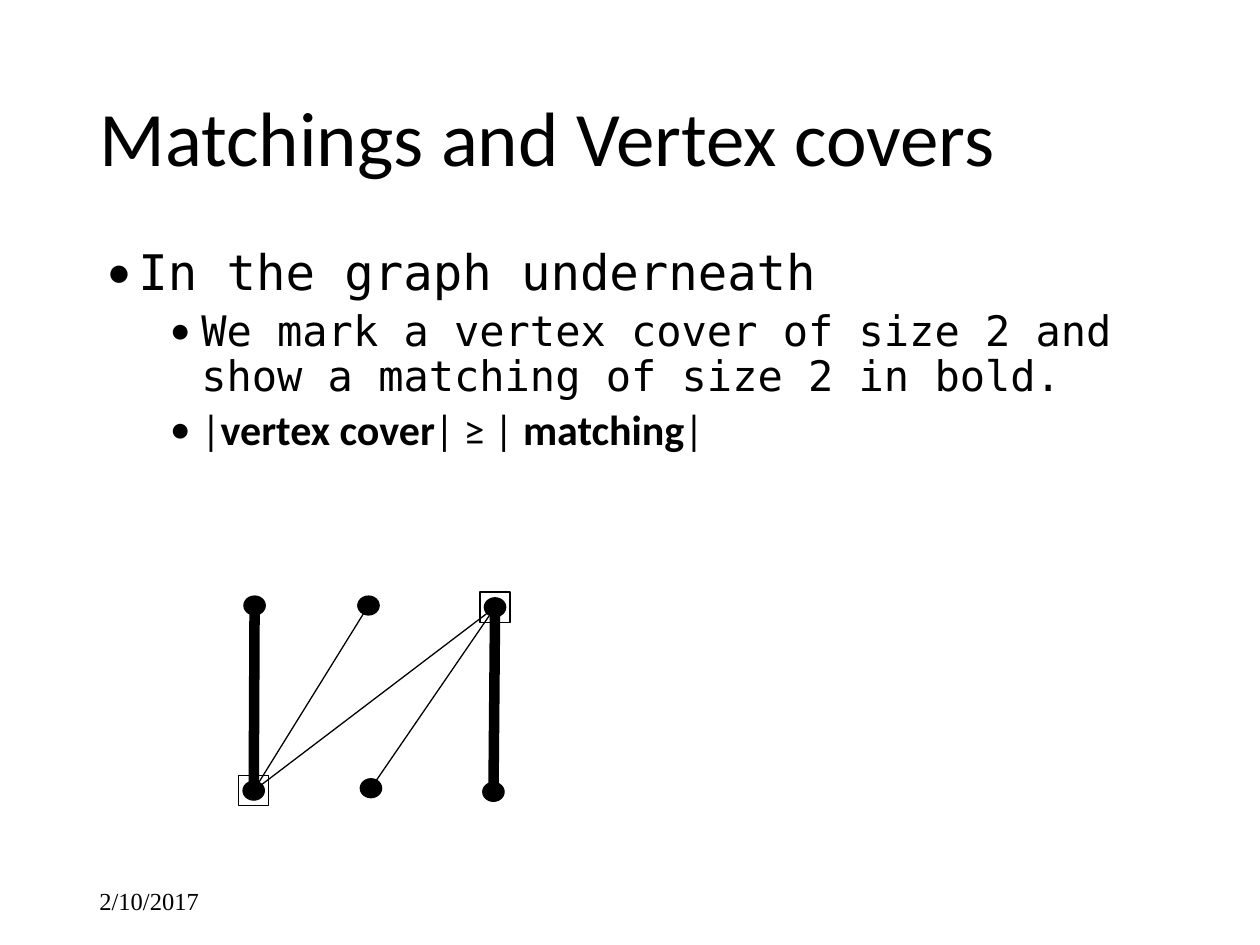
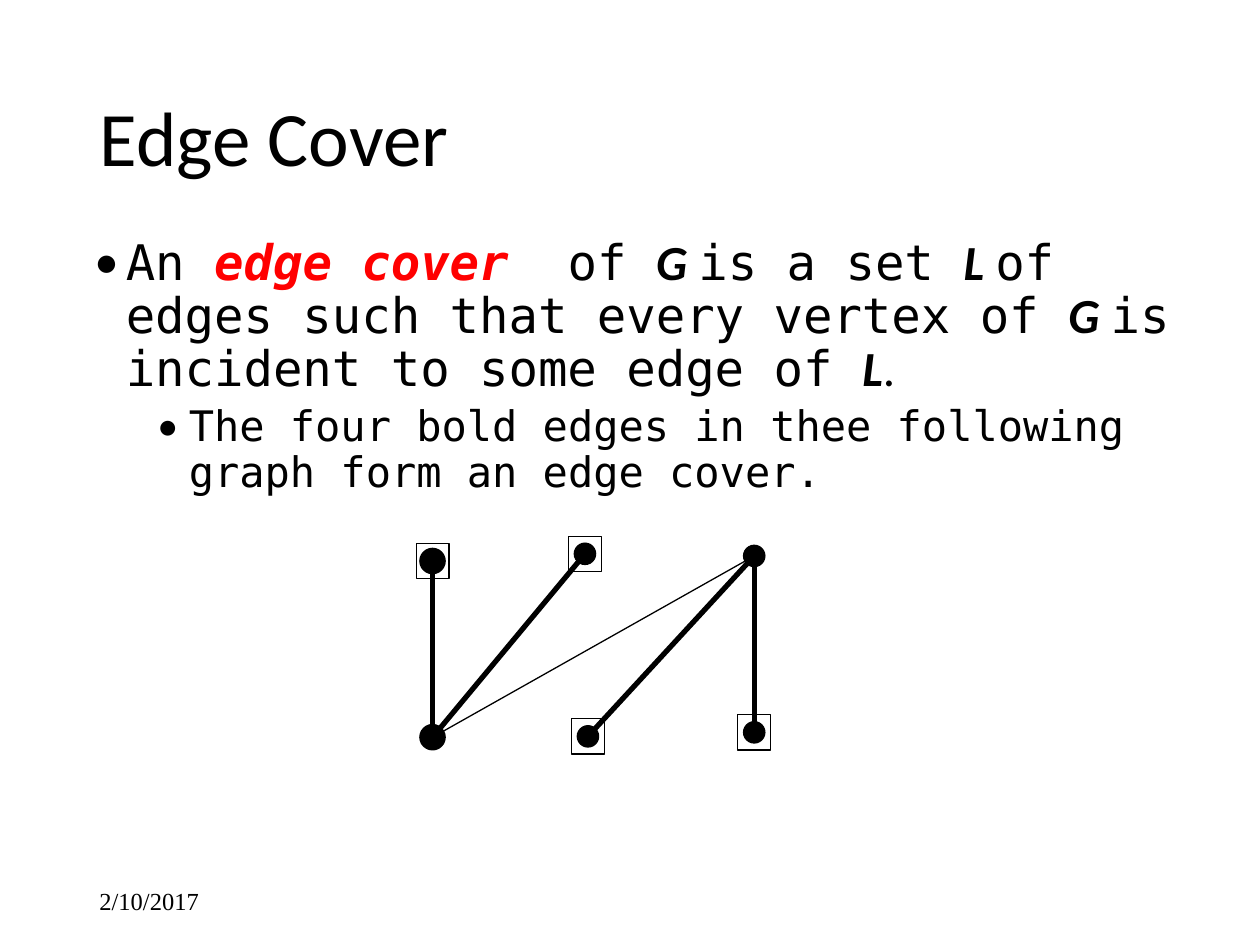
from pptx import Presentation
from pptx.dml.color import RGBColor
from pptx.enum.shapes import MSO_CONNECTOR, MSO_SHAPE
from pptx.enum.text import MSO_ANCHOR, MSO_AUTO_SIZE, PP_ALIGN
from pptx.oxml.ns import qn
from pptx.util import Pt
from lxml.etree import SubElement

BLACK = RGBColor(0, 0, 0)
RED = RGBColor(255, 0, 0)
SANS = "Calibri"
MONO = "DejaVu Sans Mono"
SERIF = "Times New Roman"
PLAIN = {"name": MONO}
TERM = {"name": MONO, "bold": True, "italic": True, "color": RED}
VAR = {"name": SANS, "bold": True, "italic": True}
THIN = {"name": SANS}
BOLD = {"name": SANS, "bold": True}
LEVELS = [
    {"size": 28, "left": 18, "before": 10},
    {"size": 24, "left": 54, "before": 5},
]


def set_all(item, values):
    for key, value in values.items():
        setattr(item, key, value)


def add_run(para, text, size, style):
    run = para.add_run()
    run.text = text
    look = dict(style)
    run.font.color.rgb = look.pop("color", BLACK)
    set_all(run.font, {"size": Pt(size), **look})


def place(shape, left, top, width, height):
    set_all(shape, {"left": Pt(left), "top": Pt(top),
                    "width": Pt(width), "height": Pt(height)})


def add_title(slide, text):
    title = slide.shapes.title
    place(title, 49.7, 28.8, 620.6, 104.4)
    frame = title.text_frame
    set_all(frame, {"vertical_anchor": MSO_ANCHOR.MIDDLE,
                    "auto_size": MSO_AUTO_SIZE.NONE, "word_wrap": True})
    para = frame.paragraphs[0]
    set_all(para, {"alignment": PP_ALIGN.LEFT, "line_spacing": 0.9})
    add_run(para, text, 44, THIN)


def add_box(slide, box, anchor):
    frame = slide.shapes.add_textbox(*map(Pt, box)).text_frame
    set_all(frame, {"word_wrap": True, "vertical_anchor": anchor})
    return frame


def add_date(slide):
    frame = add_box(slide, (49.7, 500.4, 162, 28.8), MSO_ANCHOR.MIDDLE)
    add_run(frame.paragraphs[0], "2/10/2017", 14, {"name": SERIF})


def add_bullet(para, left):
    props = para._p.get_or_add_pPr()
    props.set("marL", str(Pt(left)))
    props.set("indent", str(-Pt(18)))
    SubElement(props, qn("a:buFont")).set("typeface", SANS)
    SubElement(props, qn("a:buChar")).set("char", "•")


def add_body(slide, box, items):
    frame = add_box(slide, box, MSO_ANCHOR.TOP)
    for index, (level, runs) in enumerate(items):
        para = frame.add_paragraph() if index else frame.paragraphs[0]
        rule = LEVELS[level]
        set_all(para, {"level": level, "line_spacing": 0.9,
                       "space_before": Pt(rule["before"])})
        add_bullet(para, rule["left"])
        for text, style in runs:
            add_run(para, text, rule["size"], style)


def add_mark(slide, kind, mid, size, filled, weight=0.75):
    (x, y), (width, height) = mid, size
    mark = slide.shapes.add_shape(
        kind, Pt(x - width / 2), Pt(y - height / 2), Pt(width), Pt(height))
    mark.shadow.inherit = False
    if filled:
        mark.fill.solid()
        mark.fill.fore_color.rgb = BLACK
    else:
        mark.fill.background()
    mark.line.color.rgb = BLACK
    mark.line.width = Pt(weight)


def add_edge(slide, start, end, weight):
    edge = slide.shapes.add_connector(
        MSO_CONNECTOR.STRAIGHT, *map(Pt, start + end))
    edge.line.color.rgb = BLACK
    edge.line.width = Pt(weight)
    SubElement(edge._element.spPr, qn("a:effectLst"))


def add_graph(slide, nodes, dot, frame, framed, bold, thin, weight, heavy=""):
    for name, mid in nodes.items():
        add_mark(slide, MSO_SHAPE.OVAL, mid, dot, True,
                 3 if name in heavy else 0.75)
    for name in framed:
        add_mark(slide, MSO_SHAPE.RECTANGLE, nodes[name], frame, False)
    for pairs, width in ((bold, weight), (thin, 0.75)):
        for start, end in pairs:
            add_edge(slide, nodes[start], nodes[end], width)


def add_page(deck, title):
    slide = deck.slides.add_slide(deck.slide_layouts[5])
    add_date(slide)
    add_title(slide, title)
    return slide


def add_match(deck):
    slide = add_page(deck, "Matchings and Vertex covers")
    add_body(slide, (54, 138.2, 612, 164.9), [
        (0, [("In the graph underneath ", PLAIN)]),
        (1, [("We mark a vertex cover of size 2 and show a matching "
              "of size 2 in bold. ", PLAIN)]),
        (1, [("|", THIN), ("vertex cover", BOLD), ("| ≥ | ", THIN),
             ("matching", BOLD), ("| ", THIN)]),
    ])
    nodes = {"a": (145.5, 346), "b": (210.6, 346), "c": (282.9, 347),
             "d": (145, 451.8), "e": (212, 450.4), "f": (282, 452.5)}
    add_graph(slide, nodes, (12.2, 10.8), (17.3, 17.3), "cd",
              ["ad", "cf"], ["bd", "dc", "ce"], 6)


def add_cover(deck):
    slide = add_page(deck, "Edge Cover")
    add_body(slide, (46.8, 132.5, 630, 126.7), [
        (0, [("An ", PLAIN), ("edge cover  ", TERM), ("of ", PLAIN),
             ("G ", VAR), ("is a set ", PLAIN), ("L ", VAR),
             ("of edges such that every vertex of ", PLAIN), ("G ", VAR),
             ("is incident to some edge of ", PLAIN), ("L", VAR),
             (".", THIN)]),
        (1, [("The four bold edges in thee following graph form "
              "an edge cover.", PLAIN)]),
    ])
    nodes = {"a": (247.2, 320.6), "b": (334.3, 316.5), "c": (431, 317.7),
             "d": (247.2, 421.3), "e": (336, 420.8), "f": (431, 418.5)}
    add_graph(slide, nodes, (12.2, 12.2), (18.7, 20.2), "abef",
              ["ad", "bd", "ce", "cf"], ["dc"], 3, "ad")


def main():
    deck = Presentation()
    set_all(deck, {"slide_width": Pt(720), "slide_height": Pt(540)})
    add_match(deck)
    add_cover(deck)
    deck.save("out.pptx")


main()
